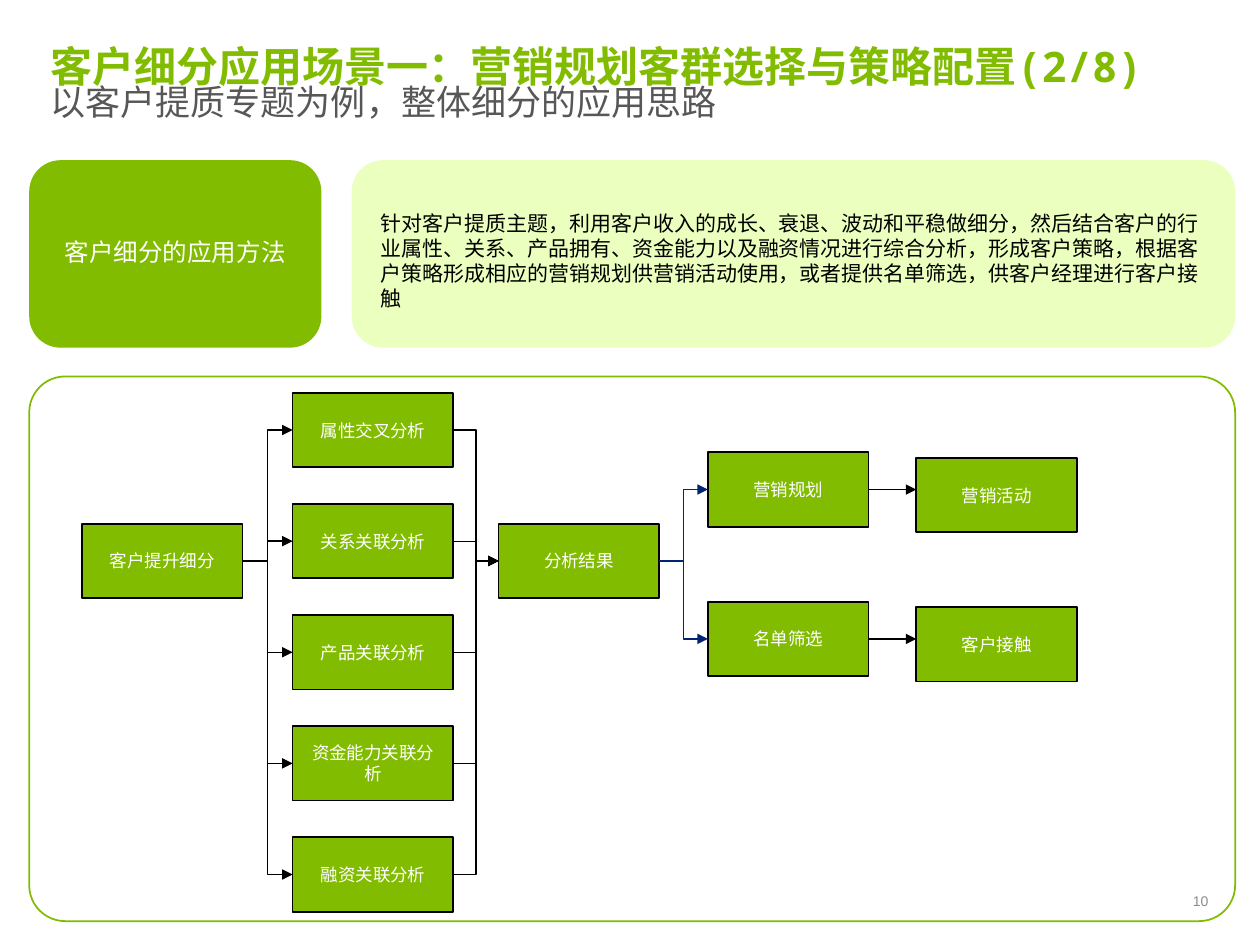
from dataclasses import dataclass

from lxml.etree import SubElement
from pptx import Presentation
from pptx.dml.color import RGBColor
from pptx.enum.shapes import MSO_CONNECTOR as Link, MSO_SHAPE as Preset
from pptx.enum.text import MSO_ANCHOR as Anchor, PP_ALIGN as Align
from pptx.oxml.ns import qn
from pptx.util import Cm, Pt


@dataclass(frozen=True)
class Theme:
    green: str = "81BC00"
    pale: str = "EBFFBF"
    black: str = "000000"
    white: str = "FFFFFF"
    navy: str = "002673"
    grey: str = "575857"
    light_grey: str = "8C8C8C"
    heading_font: str = "Noto Sans Mono"
    body_font: str = "Arial"
    title_size: int = 24
    subtitle_size: int = 20
    method_size: int = 14
    summary_size: int = 12
    node_size: int = 10
    page_size: int = 8


THEME = Theme(grey="575757")

# Flow geometry in cm
NODE_W, NODE_H = 3.24, 1.5
COL_SEGMENT, COL_ANALYSIS, COL_RESULT, COL_OUTPUT, COL_ACTION = 1.65, 5.9, 10.05, 14.27, 18.47
MIDDLE_TOP = 10.56
ANALYSIS_TOP, ANALYSIS_STEP = 7.92, 2.24
ANALYSES = ["属性交叉分析", "关系关联分析", "产品关联分析", "资金能力关联分析", "融资关联分析"]
# Output, its top, follow-up action, its top
BRANCHES = [
    ("营销规划", 9.12, "营销活动", 9.23),
    ("名单筛选", 12.13, "客户接触", 12.24),
]
RIGHT, LEFT = 3, 1


def apply(target, values):
    for name, value in values.items():
        setattr(target, name, value)


def write(shape, text, size, color, font=THEME.body_font, bold=False, frame=None, paragraph=None):
    """Put one formatted paragraph into a shape."""
    apply(shape.text_frame, {"word_wrap": True, **(frame or {})})
    line = shape.text_frame.paragraphs[0]
    apply(line, paragraph or {})
    run = line.add_run()
    run.text = text
    apply(run.font, {"size": Pt(size), "name": font, "bold": bold})
    run.font.color.rgb = RGBColor.from_string(color)


def margins(horizontal=0, vertical=0):
    return {
        "margin_left": Cm(horizontal), "margin_right": Cm(horizontal),
        "margin_top": Cm(vertical), "margin_bottom": Cm(vertical),
    }


def add_label(slide, box, *args, **formats):
    label = slide.shapes.add_textbox(*map(Cm, box))
    write(label, *args, **formats)


def add_block(slide, preset, box, fill=None, line=None, corner=None):
    block = slide.shapes.add_shape(preset, *map(Cm, box))
    block.shadow.inherit = False
    if fill:
        block.fill.solid()
        block.fill.fore_color.rgb = RGBColor.from_string(fill)
    else:
        block.fill.background()
    if line:
        block.line.color.rgb = RGBColor.from_string(line)
        block.line.width = Pt(1)
    else:
        block.line.fill.background()
    if corner is not None:
        block.adjustments[0] = corner
    return block


def add_node(slide, text, left, top):
    node = add_block(slide, Preset.RECTANGLE, (left, top, NODE_W, NODE_H), THEME.green, THEME.black)
    write(node, text, THEME.node_size, THEME.white,
          frame={"vertical_anchor": Anchor.MIDDLE}, paragraph={"alignment": Align.CENTER})
    return node


def add_arrow(slide, source, target, color=THEME.black, level=False):
    """Elbow between two nodes, or a level arrow to the target's left edge."""
    height = source.top + source.height // 2
    arrow = slide.shapes.add_connector(
        Link.STRAIGHT if level else Link.ELBOW,
        source.left + source.width, height, target.left, height)
    arrow.begin_connect(source, RIGHT)
    if not level:
        arrow.end_connect(target, LEFT)
    arrow.line.color.rgb = RGBColor.from_string(color)
    arrow.line.width = Pt(0.75)
    SubElement(arrow.line._get_or_add_ln(), qn("a:tailEnd"), type="triangle")
    SubElement(arrow._element.spPr, qn("a:effectLst"))


def add_headings(slide):
    add_label(slide, (1.02, 0.81, 23.29, 1.3), "客户细分应用场景一：营销规划客群选择与策略配置(2/8)",
              THEME.title_size, THEME.green, font=THEME.heading_font, bold=True, frame=margins())
    add_label(slide, (1.02, 1.63, 23.29, 2.69), "以客户提质专题为例，整体细分的应用思路",
              THEME.subtitle_size, THEME.grey, font=THEME.heading_font, frame=margins())


def add_method(slide):
    method = add_block(slide, Preset.ROUNDED_RECTANGLE, (0.59, 3.23, 5.89, 3.78),
                       THEME.green, corner=0.167)
    write(method, "客户细分的应用方法", THEME.method_size, THEME.white,
          frame={"vertical_anchor": Anchor.MIDDLE, **margins(0.1, 0.13)},
          paragraph={"alignment": Align.CENTER, "line_spacing": 0.85})
    add_block(slide, Preset.ROUNDED_RECTANGLE, (7.09, 3.23, 17.81, 3.78), THEME.pale, corner=0.167)
    add_label(slide, (7.42, 4.11, 17.25, 2.31),
              "针对客户提质主题，利用客户收入的成长、衰退、波动和平稳做细分，然后结合客户的行业属性、"
              "关系、产品拥有、资金能力以及融资情况进行综合分析，形成客户策略，根据客户策略形成相应的"
              "营销规划供营销活动使用，或者提供名单筛选，供客户经理进行客户接触",
              THEME.summary_size, THEME.black)


def add_flow(slide):
    add_block(slide, Preset.ROUNDED_RECTANGLE, (0.59, 7.59, 24.31, 10.98),
              line=THEME.green, corner=0.066)
    segment = add_node(slide, "客户提升细分", COL_SEGMENT, MIDDLE_TOP)
    result = add_node(slide, "分析结果", COL_RESULT, MIDDLE_TOP)

    # Segment fans out to the analyses, which merge into the result
    for row, name in enumerate(ANALYSES):
        analysis = add_node(slide, name, COL_ANALYSIS, ANALYSIS_TOP + row * ANALYSIS_STEP)
        add_arrow(slide, segment, analysis)
        add_arrow(slide, analysis, result)

    # Result splits into outputs, each with its action
    for output_name, output_top, action_name, action_top in BRANCHES:
        output = add_node(slide, output_name, COL_OUTPUT, output_top)
        action = add_node(slide, action_name, COL_ACTION, action_top)
        add_arrow(slide, result, output, THEME.navy)
        add_arrow(slide, output, action, level=True)


def main():
    deck = Presentation()
    apply(deck, {"slide_width": Cm(25.4), "slide_height": Cm(19.05)})
    slide = deck.slides.add_slide(deck.slide_layouts[6])
    add_headings(slide)
    add_method(slide)
    add_flow(slide)
    # Page number
    add_label(slide, (22.15, 17.81, 2.21, 0.71), "10", THEME.page_size, THEME.light_grey,
              frame={"vertical_anchor": Anchor.MIDDLE, **margins()},
              paragraph={"alignment": Align.RIGHT})
    deck.save("out.pptx")


if __name__ == "__main__":
    main()
